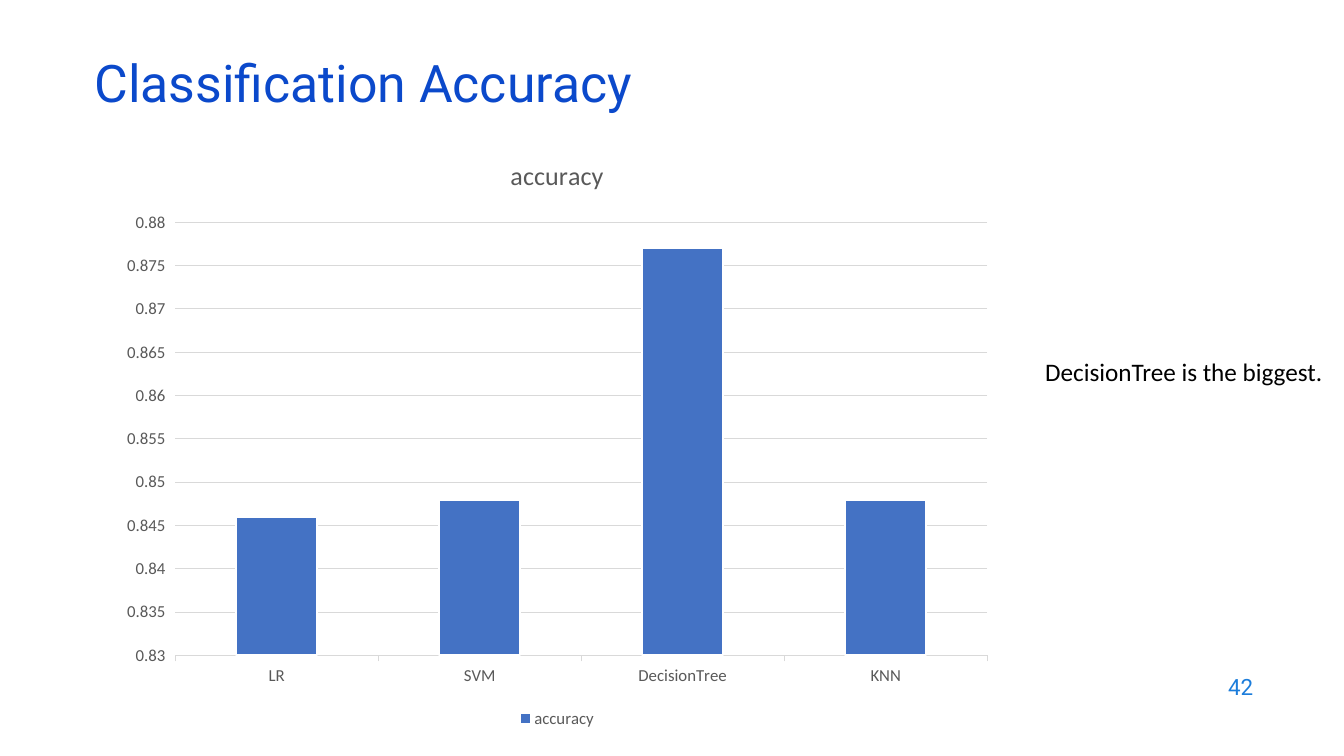
from pptx import Presentation
from pptx.chart.data import CategoryChartData
from pptx.dml.color import RGBColor
from pptx.enum.chart import XL_CHART_TYPE, XL_LEGEND_POSITION, XL_TICK_MARK
from pptx.enum.text import MSO_ANCHOR, MSO_AUTO_SIZE, PP_ALIGN
from pptx.util import Cm, Pt

BLUE, SKY, BLACK = "0B49CB", "1C7DDB", "000000"
GREY, RULE, BAR, WHITE = "595959", "D9D9D9", "4472C4", "FFFFFF"
HEAD, BODY = "Roboto", "Calibri"


def color(code):
    return RGBColor.from_string(code)


class Deck:
    def __init__(self, wide, high):
        self.file = Presentation()
        self.file.slide_width, self.file.slide_height = Cm(wide), Cm(high)
        self.slide = self.file.slides.add_slide(self.file.slide_layouts[5])

    def font(self, font, size, code, name=BODY):
        font.size, font.name, font.bold = Pt(size), name, False
        font.color.rgb = color(code)

    def line(self, line, code, width=0.75):
        line.color.rgb = color(code)
        line.width = Pt(width)

    def fill(self, shape, text, size, code, name, anchor, align):
        frame = shape.text_frame
        frame.text = text
        frame.vertical_anchor = anchor
        para = frame.paragraphs[0]
        para.alignment = align
        self.font(para.runs[0].font, size, code, name)
        return frame

    def title(self, box, text):
        shape = self.slide.shapes.title
        shape.left, shape.top, shape.width, shape.height = map(Cm, box)
        frame = self.fill(shape, text, 37, BLUE, HEAD, MSO_ANCHOR.MIDDLE, PP_ALIGN.LEFT)
        frame.auto_size = MSO_AUTO_SIZE.NONE
        frame.paragraphs[0].line_spacing = 0.7

    def text(self, box, text, size, code, name=BODY, anchor=MSO_ANCHOR.TOP,
             align=PP_ALIGN.LEFT, wrap=True):
        shape = self.slide.shapes.add_textbox(*map(Cm, box))
        frame = self.fill(shape, text, size, code, name, anchor, align)
        frame.word_wrap = wrap
        if not wrap:
            frame.auto_size = MSO_AUTO_SIZE.SHAPE_TO_FIT_TEXT

    def columns(self, box, name, scores, low, high, step):
        data = CategoryChartData()
        data.categories = list(scores)
        data.add_series(name, list(scores.values()))
        kind = XL_CHART_TYPE.COLUMN_CLUSTERED
        chart = self.slide.shapes.add_chart(kind, *map(Cm, box), data).chart
        self.font(chart.font, 10, BLACK)

        # Title and legend
        chart.has_title = True
        head = chart.chart_title.text_frame
        head.text = name
        self.font(head.paragraphs[0].runs[0].font, 18.6, GREY)
        chart.chart_title.include_in_layout = False
        chart.has_legend = True
        chart.legend.position = XL_LEGEND_POSITION.BOTTOM
        chart.legend.include_in_layout = False
        self.font(chart.legend.font, 12, GREY)

        # Axes
        cats, vals = chart.category_axis, chart.value_axis
        for axis in (cats, vals):
            self.font(axis.tick_labels.font, 12, GREY)
            axis.major_tick_mark = XL_TICK_MARK.OUTSIDE
        self.line(cats.format.line, RULE)
        vals.format.line.fill.background()
        vals.minimum_scale, vals.maximum_scale, vals.major_unit = low, high, step
        self.line(vals.major_gridlines.format.line, RULE)

        # Bars
        plot = chart.plots[0]
        plot.gap_width = 150
        plot.vary_by_categories = False
        bars = plot.series[0].format
        bars.fill.solid()
        bars.fill.fore_color.rgb = color(BAR)
        self.line(bars.line, WHITE, 1.5)


def main():
    deck = Deck(33.87, 19.05)

    # Heading and page number
    deck.title((2.13, 1.5, 29.21, 1.52), "Classification Accuracy")
    deck.text((24.21, 16.74, 7.62, 1.12), "42", 16, SKY, HEAD,
              MSO_ANCHOR.MIDDLE, PP_ALIGN.RIGHT)

    # Accuracy chart with its remark
    scores = {"LR": 0.846, "SVM": 0.848, "DecisionTree": 0.877, "KNN": 0.848}
    deck.columns((2.75, 3.4, 22.58, 15.06), "accuracy", scores, 0.83, 0.88, 0.005)
    deck.text((26.09, 8.86, 7.59, 1.02), "DecisionTree is the biggest.", 18, BLACK,
              wrap=False)

    deck.file.save("out.pptx")


if __name__ == "__main__":
    main()
